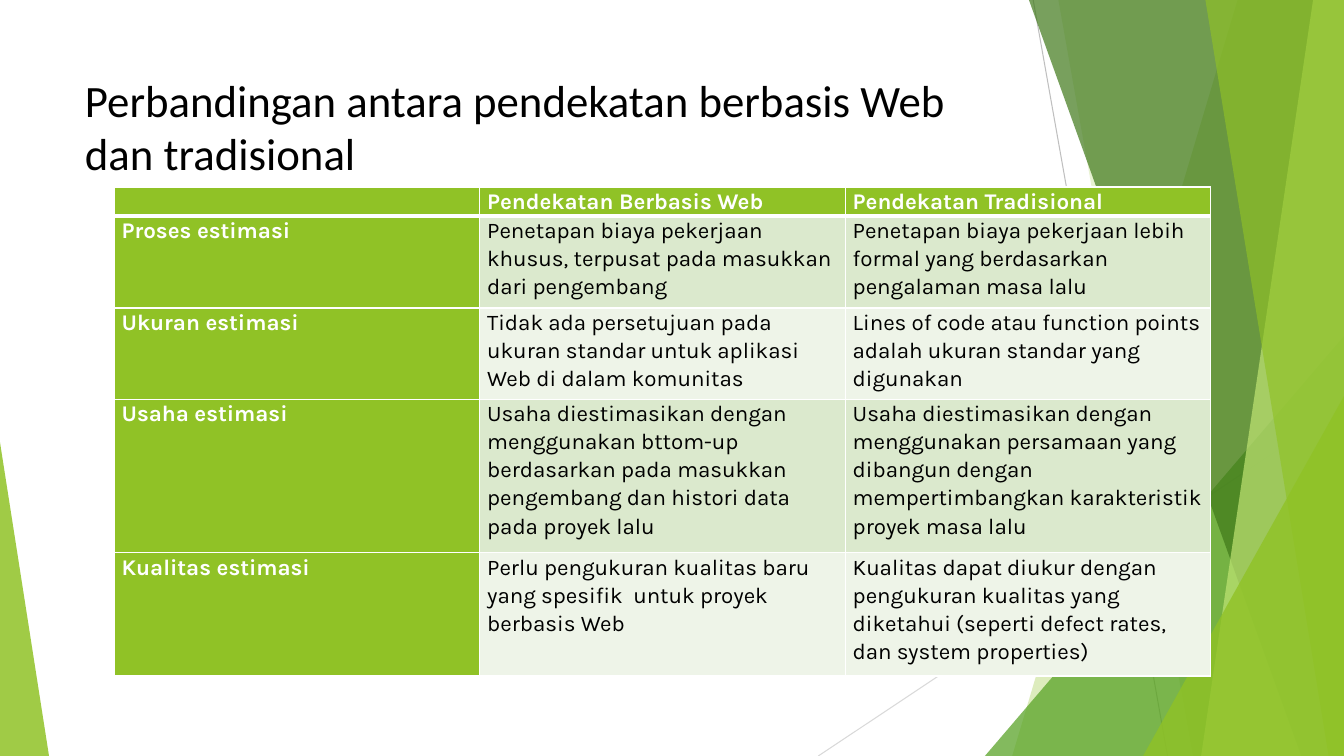
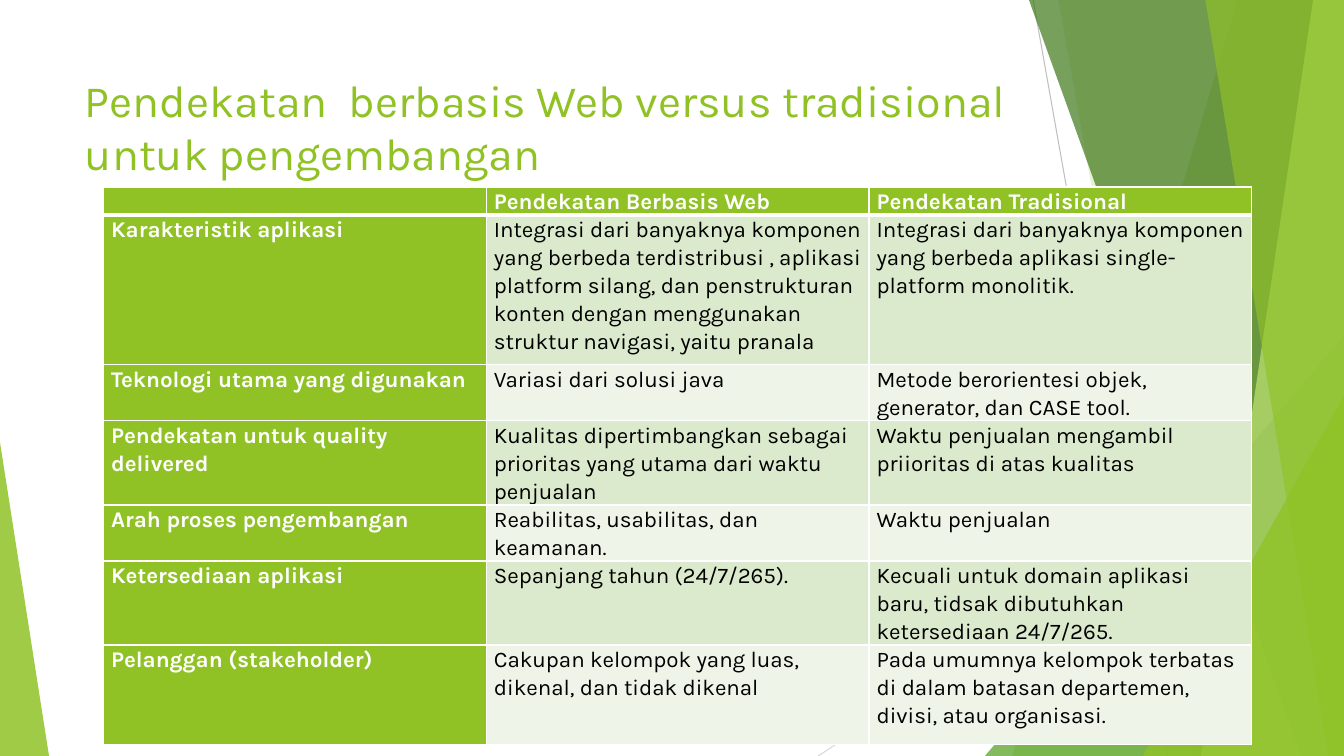
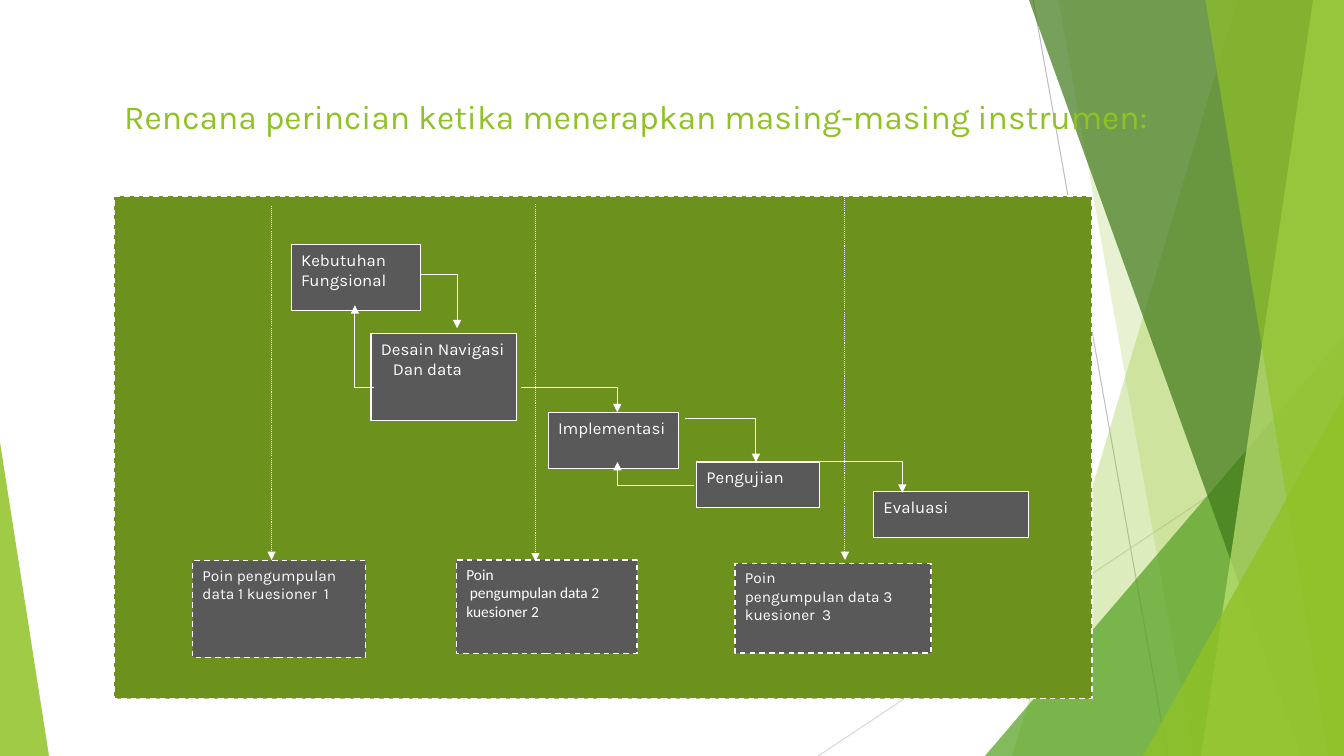
"""Build three slides comparing Web-based and traditional estimation."""
import dataclasses

import lxml.etree
import pptx
import pptx.dml.color
import pptx.enum.dml
import pptx.enum.shapes
import pptx.enum.text
import pptx.oxml.ns
import pptx.util

Pt = pptx.util.Pt
qn = pptx.oxml.ns.qn
SHAPE = pptx.enum.shapes.MSO_SHAPE
CONNECTOR = pptx.enum.shapes.MSO_CONNECTOR
DASH = pptx.enum.dml.MSO_LINE
ANCHOR = pptx.enum.text.MSO_ANCHOR
ALIGN = pptx.enum.text.PP_ALIGN


@dataclasses.dataclass(frozen=True)
class Theme:
    """Colours, fonts, type sizes and page size in points."""

    width: int = 960
    height: int = 540
    font: str = "Karla"
    plain_font: str = "Calibri"
    accent: str = "90C226"
    leaf: str = "54A021"
    forest: str = "3F7819"
    lime: str = "C0E474"
    olive: str = "6C921D"
    charcoal: str = "595959"
    white: str = "FFFFFF"
    black: str = "000000"
    silver: str = "BFBFBF"
    mist: str = "D9D9D9"
    odd_row: str = "DBE9CD"
    even_row: str = "EEF4E8"
    title: int = 32
    small_title: int = 24
    table: int = 16
    step: int = 12
    point: int = 11
    hairline: float = 0.75
    border: int = 1
    header_rule: int = 3
    table_spacing: float = 1.07
    cell_inset: float = 5.4


THEME = Theme()
HEADINGS = ["", "Pendekatan Berbasis Web", "Pendekatan Tradisional"]
ESTIMATION = [
    HEADINGS,
    ["Proses estimasi",
     "Penetapan biaya pekerjaan khusus, terpusat pada masukkan dari pengembang",
     "Penetapan biaya pekerjaan lebih formal yang berdasarkan pengalaman masa lalu"],
    ["Ukuran estimasi",
     "Tidak ada persetujuan pada ukuran standar untuk aplikasi Web di dalam komunitas",
     "Lines of code atau function points adalah ukuran standar yang digunakan"],
    ["Usaha estimasi",
     "Usaha diestimasikan dengan menggunakan bttom-up berdasarkan pada masukkan "
     "pengembang dan histori data pada proyek lalu",
     "Usaha diestimasikan dengan menggunakan persamaan yang dibangun dengan "
     "mempertimbangkan karakteristik proyek masa lalu"],
    ["Kualitas estimasi",
     "Perlu pengukuran kualitas baru yang spesifik  untuk proyek berbasis Web",
     "Kualitas dapat diukur dengan pengukuran kualitas yang diketahui "
     "(seperti defect rates, dan system properties)"],
]
DEVELOPMENT = [
    HEADINGS,
    ["Karakteristik aplikasi",
     "Integrasi dari banyaknya komponen yang berbeda terdistribusi , aplikasi platform "
     "silang, dan penstrukturan konten dengan menggunakan struktur navigasi, yaitu pranala",
     "Integrasi dari banyaknya komponen yang berbeda aplikasi single-platform monolitik."],
    ["Teknologi utama yang digunakan", "Variasi dari solusi java",
     "Metode berorientesi objek, generator, dan CASE tool."],
    ["Pendekatan untuk quality delivered",
     "Kualitas dipertimbangkan sebagai prioritas yang utama dari waktu penjualan",
     "Waktu penjualan mengambil priioritas di atas kualitas"],
    ["Arah proses pengembangan", "Reabilitas, usabilitas, dan keamanan.", "Waktu penjualan"],
    ["Ketersediaan aplikasi", "Sepanjang tahun (24/7/265).",
     "Kecuali untuk domain aplikasi baru, tidsak dibutuhkan ketersediaan 24/7/265."],
    ["Pelanggan (stakeholder)", "Cakupan kelompok yang luas, dikenal, dan tidak dikenal",
     "Pada umumnya kelompok terbatas di dalam batasan departemen, divisi, atau organisasi."],
]


def rgb(color):
    """Return a colour object for a hex value."""
    return pptx.dml.color.RGBColor.from_string(color)


def points(*lengths):
    """Convert lengths in points."""
    return [Pt(length) for length in lengths]


def assign(target, values):
    """Set each attribute named in a dict of format values."""
    for name, value in values.items():
        setattr(target, name, value)


def write(paragraph, text, size, color, font=THEME.font, bold=False):
    """Write one formatted span into a paragraph."""
    span = paragraph.add_run()
    span.text = text
    assign(span.font, {"name": font, "size": Pt(size), "bold": bold})
    span.font.color.rgb = rgb(color)


def paint(shape, color, opacity=100):
    """Fill a shape without outline or shadow."""
    shape.shadow.inherit = False
    shape.fill.solid()
    shape.fill.fore_color.rgb = rgb(color)
    shape.line.fill.background()
    if opacity < 100:
        tint = shape.element.spPr.find(".//" + qn("a:srgbClr"))
        lxml.etree.SubElement(tint, qn("a:alpha"), val=str(opacity * 1000))


def outline(line, color, width, dash=None):
    """Give a line its colour, width and dash."""
    line.color.rgb = rgb(color)
    assign(line, {"width": Pt(width), "dash_style": dash})


def add_panel(shapes, top_left, bottom_left, color, opacity):
    """Draw a slanted panel that reaches the right page edge."""
    corners = [(THEME.width, 0), (THEME.width, THEME.height), (bottom_left, THEME.height)]
    builder = shapes.build_freeform(*points(top_left, 0), scale=1.0)
    builder.add_line_segments([points(*corner) for corner in corners], close=True)
    paint(builder.convert_to_shape(), color, opacity)


def add_peak(shapes, left, top, width, apex, color, opacity):
    """Draw a triangle that stands on the bottom page edge."""
    peak = shapes.add_shape(SHAPE.ISOSCELES_TRIANGLE,
                            *points(left, top, width, THEME.height - top))
    peak.adjustments[0] = apex
    paint(peak, color, opacity)


def add_line(shapes, ends, color, dash=None, arrow=False, kind=CONNECTOR.STRAIGHT):
    """Draw a thin connector, with an arrowhead if asked."""
    connector = shapes.add_connector(kind, *points(*ends))
    outline(connector.line, color, THEME.hairline, dash)
    properties = connector.element.spPr
    lxml.etree.SubElement(properties, qn("a:effectLst"))
    if arrow:
        lxml.etree.SubElement(properties.find(qn("a:ln")), qn("a:tailEnd"), type="triangle")
    return connector


def add_elbow(shapes, start_x, start_y, end_x, end_y):
    """Draw an arrow that runs sideways first and then up or down."""
    backward = end_y < start_y
    ends = (end_x, end_y, start_x, start_y) if backward else (start_x, start_y, end_x, end_y)
    elbow = add_line(shapes, ends, THEME.white, arrow=True, kind=CONNECTOR.ELBOW)
    elbow.element.spPr.find(qn("a:prstGeom")).set("prst", "bentConnector2")
    if backward:
        elbow.element.spPr.find(qn("a:xfrm")).set("rot", "10800000")


def add_backdrop(page):
    """Draw the green facets once and move them to the page's layout."""
    group = page.shapes.add_group_shape()
    facets = [
        (add_line, (738, 0, 834, 540), THEME.silver),
        (add_line, (960, 290, 584.5, 540), THEME.mist),
        (add_panel, 884, 723, THEME.accent, 30),
        (add_panel, 756, 852, THEME.accent, 20),
        (add_peak, 703.5, 240, 256.5, 1, THEME.leaf, 72),
        (add_panel, 735, 929.5, THEME.forest, 70),
        (add_panel, 938, 858, THEME.lime, 70),
        (add_panel, 861, 949, THEME.accent, 65),
        (add_peak, 816.5, 283, 143.5, 1, THEME.accent, 80),
        (add_peak, 0, 316, 35, 0, THEME.accent, 85),
    ]
    for draw, *details in facets:
        draw(group.shapes, *details)
    page.slide_layout.shapes.element.insert(2, group.element)


def add_page(deck, title, frame=(53.5, 48, 677, 104), size=THEME.title,
             color=THEME.accent, font=THEME.font, margin_top=3.6):
    """Add a title-only page and format its title."""
    page = deck.slides.add_slide(deck.slide_layouts[5])
    box = page.shapes.title
    assign(box, dict(zip(("left", "top", "width", "height"), points(*frame))))
    assign(box.text_frame, {
        "word_wrap": True, "auto_size": pptx.enum.text.MSO_AUTO_SIZE.NONE,
        "vertical_anchor": ANCHOR.TOP, "margin_top": Pt(margin_top)})
    paragraph = box.text_frame.paragraphs[0]
    paragraph.alignment = ALIGN.LEFT
    write(paragraph, title, size, color, font)
    return page


def add_borders(cell, widths):
    """Put white borders of the given widths on a cell."""
    properties = cell._tc.get_or_add_tcPr()
    for index, (side, width) in enumerate(widths.items()):
        border = lxml.etree.Element(qn("a:ln" + side), w=str(Pt(width)))
        fill = lxml.etree.SubElement(border, qn("a:solidFill"))
        lxml.etree.SubElement(fill, qn("a:srgbClr"), val=THEME.white)
        properties.insert(index, border)


def add_comparison(page, rows, left, width, heights):
    """Add a table with a green header row and first column."""
    table = page.shapes.add_table(len(rows), len(rows[0]),
                                  *points(left, 133.5, width, sum(heights))).table
    for column in table.columns:
        column.width = Pt(width / len(rows[0]))
    for row_index, texts in enumerate(rows):
        table.rows[row_index].height = Pt(heights[row_index])
        body_fill = THEME.odd_row if row_index % 2 else THEME.even_row
        for column_index, text in enumerate(texts):
            cell = table.cell(row_index, column_index)
            heading = row_index == 0 or column_index == 0
            assign(cell, dict(zip(("margin_left", "margin_top", "margin_right", "margin_bottom"),
                                  points(THEME.cell_inset, 0, THEME.cell_inset, 0))))
            cell.fill.solid()
            cell.fill.fore_color.rgb = rgb(THEME.accent if heading else body_fill)
            add_borders(cell, {
                "L": THEME.border, "R": THEME.border,
                "T": THEME.header_rule if row_index == 1 else THEME.border,
                "B": THEME.header_rule if row_index == 0 else THEME.border})
            paragraph = cell.text_frame.paragraphs[0]
            paragraph.line_spacing = THEME.table_spacing
            if text:
                write(paragraph, text, THEME.table,
                      THEME.white if heading else THEME.black, bold=heading)
            else:
                lxml.etree.SubElement(paragraph._p, qn("a:endParaRPr"),
                                      sz=str(THEME.table * 100))


def add_box(page, frame, lines=(), size=THEME.step, fill=THEME.charcoal,
            width=THEME.hairline, dash=None, font=THEME.font, indent=0):
    """Add a rectangle with top-left text; indent shifts the second paragraph."""
    box = page.shapes.add_shape(SHAPE.RECTANGLE, *points(*frame))
    paint(box, fill)
    outline(box.line, THEME.white, width, dash)
    assign(box.text_frame, {"word_wrap": True, "vertical_anchor": ANCHOR.TOP})
    for index, line in enumerate(lines):
        paragraph = box.text_frame.add_paragraph() if index else box.text_frame.paragraphs[0]
        paragraph.alignment = ALIGN.LEFT
        if index and indent:
            assign_indent = paragraph._p.get_or_add_pPr().set
            assign_indent("marL", "0")
            assign_indent("indent", str(Pt(indent)))
        write(paragraph, line, size, THEME.white, font)


def add_plan(page):
    """Draw the development steps and the data collection points."""
    dashed = {"width": THEME.border, "dash": DASH.DASH}
    add_box(page, (81.5, 140, 698.5, 359), fill=THEME.olive, **dashed)
    steps = [
        ((208, 175, 92.5, 47), ["Kebutuhan Fungsional"]),
        ((265, 238.5, 104, 62), ["Desain Navigasi", "Dan data"]),
        ((391.5, 294.5, 93, 40), ["Implementasi"]),
        ((497.5, 330, 88, 32.5), ["Pengujian"]),
        ((624, 351, 111, 33), ["Evaluasi"]),
    ]
    for frame, lines in steps:
        add_box(page, frame, lines, indent=8.5)
    elbows = [
        (300, 196, 326.5, 234.5), (372, 277, 441, 294.5), (489.5, 299, 540, 330),
        (585.5, 330, 644.5, 352), (267, 277, 253.5, 218), (496, 346.5, 441, 330),
    ]
    for ends in elbows:
        add_elbow(page.shapes, *ends)
    collections = [
        ((137.5, 400.5, 123.5, 69), ["Poin pengumpulan data 1 kuesioner  1"], THEME.font, 0),
        ((326, 400, 129, 67), ["Poin", "pengumpulan data 2 kuesioner 2"], THEME.plain_font, 2.5),
        ((525, 402.5, 140, 64), ["Poin", "pengumpulan data 3 kuesioner  3"], THEME.font, 0),
    ]
    for frame, lines, font, indent in collections:
        add_box(page, frame, lines, THEME.point, font=font, indent=indent, **dashed)
    for center, top, bottom in [(194, 147, 400), (382.5, 146, 401), (603.5, 140, 400)]:
        add_line(page.shapes, (center, top, center, bottom), THEME.white,
                 DASH.ROUND_DOT, arrow=True)


def main():
    """Build and save the deck."""
    deck = pptx.Presentation()
    assign(deck, {"slide_width": Pt(THEME.width), "slide_height": Pt(THEME.height)})
    page = add_page(deck, "Perbandingan antara pendekatan berbasis Web dan tradisional",
                    color=THEME.black, font=THEME.plain_font)
    add_backdrop(page)
    add_comparison(page, ESTIMATION, 81.5, 783.36, [21, 65.5, 65.5, 109.5, 88])
    page = add_page(deck, "Pendekatan  berbasis Web versus tradisional untuk pengembangan")
    add_comparison(page, DEVELOPMENT, 74, 820.2, [20, 107, 40, 60, 40, 60, 71])
    page = add_page(deck, "Rencana perincian ketika menerapkan masing-masing instrumen:",
                    (81.5, 6.5, 794, 133), THEME.small_title, margin_top=62)
    add_plan(page)
    deck.save("out.pptx")


if __name__ == "__main__":
    main()
